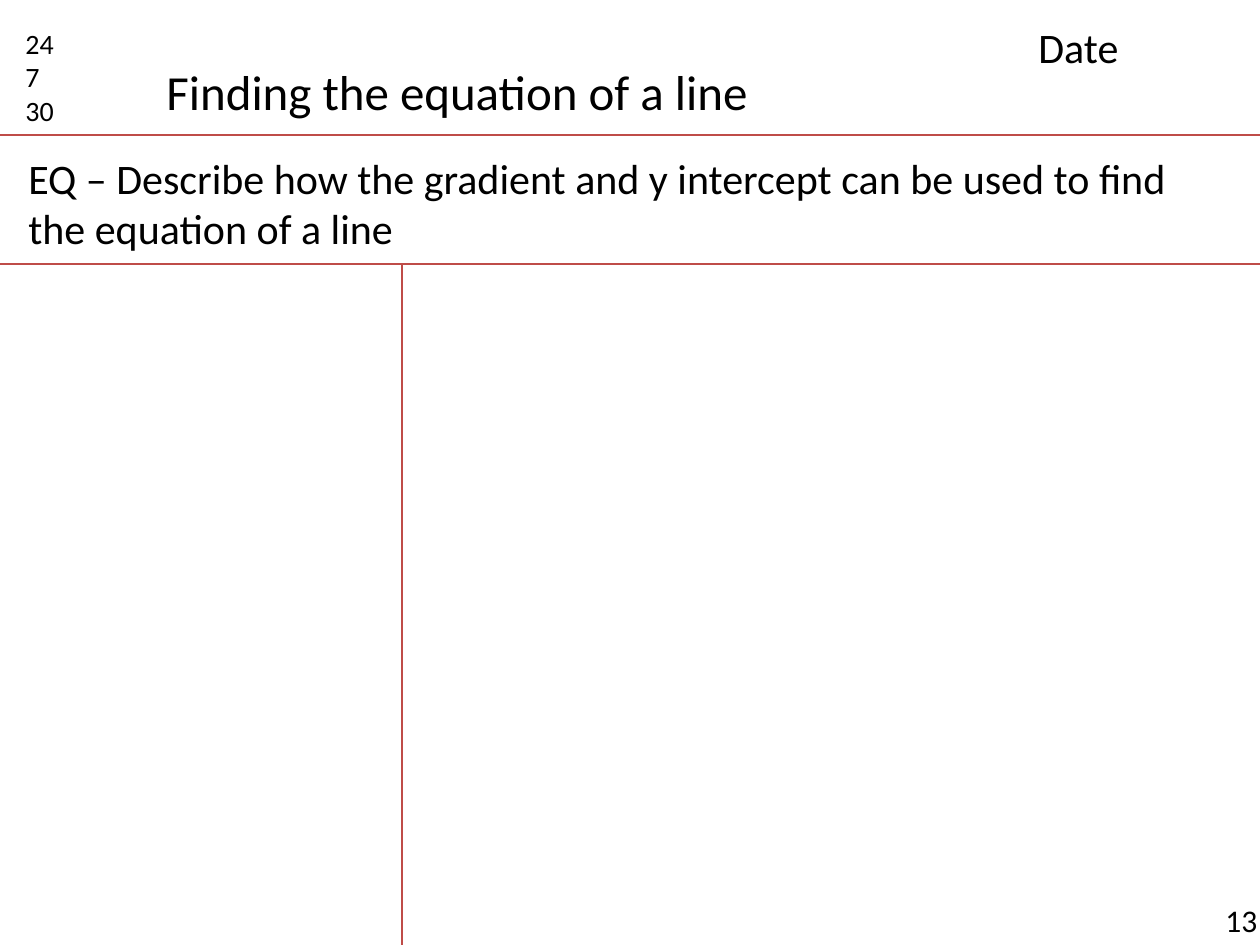
from lxml import etree
from pptx import Presentation
from pptx.dml.color import RGBColor
from pptx.enum.shapes import MSO_CONNECTOR
from pptx.enum.text import MSO_AUTO_SIZE
from pptx.oxml.ns import qn
from pptx.util import Pt

PX = 914400 // 126
WIDE, HIGH = 1260, 945
BLACK = RGBColor(0x00, 0x00, 0x00)
RED = RGBColor(0xBF, 0x4C, 0x48)
STRAIGHT = MSO_CONNECTOR.STRAIGHT
GROW = MSO_AUTO_SIZE.SHAPE_TO_FIT_TEXT


class Page:
    font = "Calibri"

    def __init__(self, slide):
        self.shapes = slide.shapes

    def text(self, words, left, top, width, height, size, wrap=True):
        box = self.shapes.add_textbox(*(n * PX for n in (left, top, width, height)))
        frame = box.text_frame
        frame.word_wrap = wrap
        frame.auto_size = GROW
        frame.text = words
        for para in frame.paragraphs:
            for run in para.runs:
                run.font.name = self.font
                run.font.size = Pt(size)
                run.font.color.rgb = BLACK

    def rule(self, x1, y1, x2, y2):
        line = self.shapes.add_connector(STRAIGHT, *(n * PX for n in (x1, y1, x2, y2)))
        line.line.color.rgb = RED
        line.line.width = Pt(0.75)
        etree.SubElement(line._element.spPr, qn("a:effectLst"))


def main():
    deck = Presentation()
    deck.slide_width, deck.slide_height = WIDE * PX, HIGH * PX
    page = Page(deck.slides.add_slide(deck.slide_layouts[6]))

    # Page number
    page.text(" 13", 1206, 895, 76, 50, 18)

    # Rules around the question, and the notes margin
    head, foot, margin = 135, 264, 402
    for y in (head, foot):
        page.rule(0, y, WIDE, y)

    # Numbers in the corner
    page.text("24\n7\n30", 13, 20, 79, 115, 16)
    page.rule(margin, foot, margin, 969)

    # Title, date and question
    page.text("Finding the equation of a line", 154, 55, 614, 72, 28, wrap=False)
    page.text("Date", 1026, 15, 218, 63, 24)
    page.text("EQ – Describe how the gradient and y intercept can be used "
              "to find the equation of a line", 16, 146, 1188, 115, 24)

    deck.save("out.pptx")


if __name__ == "__main__":
    main()
